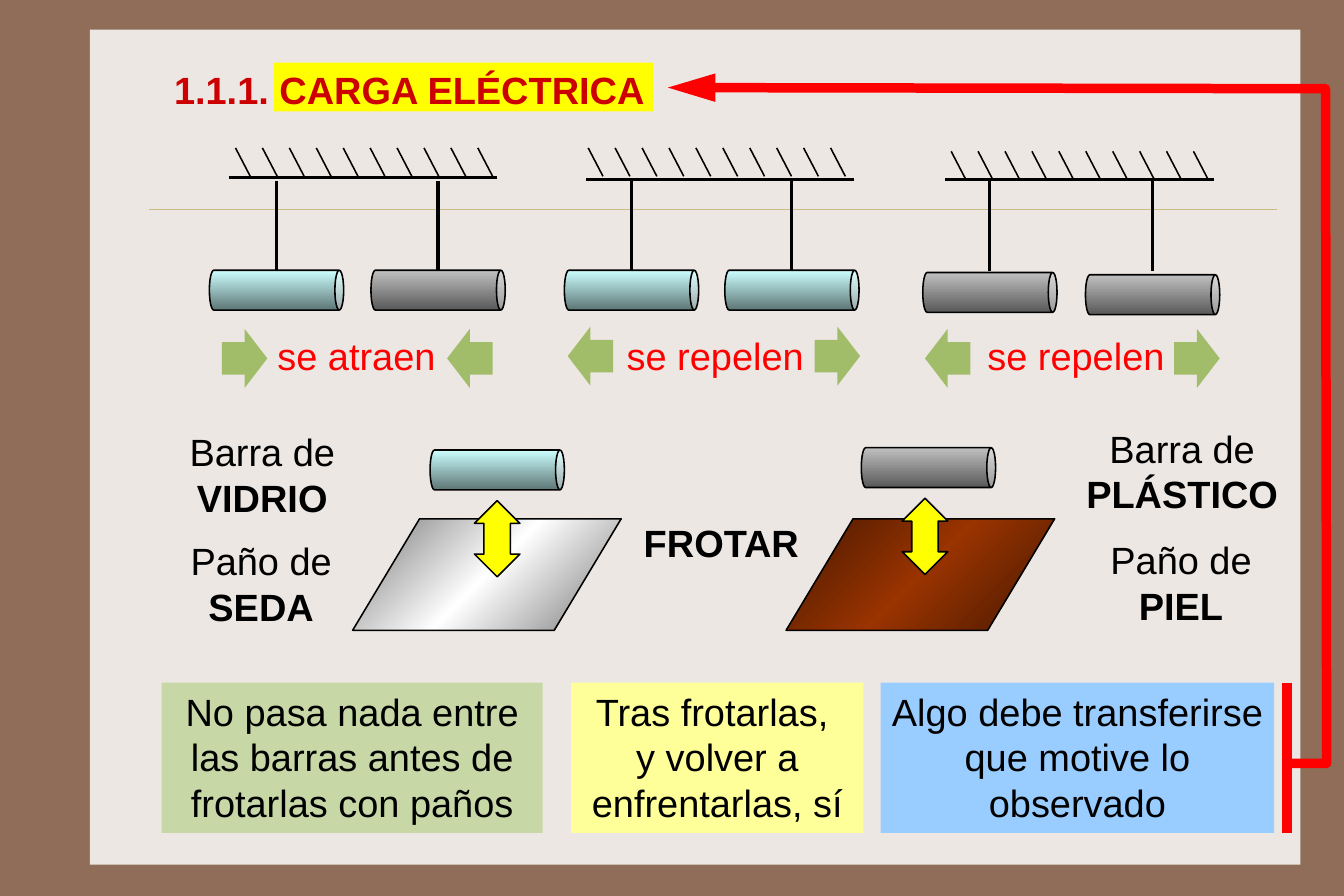
import copy

import pptx
import pptx.dml.color
import pptx.enum.shapes
import pptx.enum.text
import pptx.oxml
import pptx.oxml.ns
import pptx.util

Inches = pptx.util.Inches
Pt = pptx.util.Pt
RGBColor = pptx.dml.color.RGBColor
SHAPE = pptx.enum.shapes.MSO_SHAPE
ALIGN = pptx.enum.text.PP_ALIGN
ANCHOR = pptx.enum.text.MSO_ANCHOR
qn = pptx.oxml.ns.qn

BROWN = RGBColor(0x90, 0x6D, 0x58)
CREAM = RGBColor(0xED, 0xE7, 0xE3)
SAND = RGBColor(0xCB, 0xBD, 0x83)
BLACK = RGBColor(0, 0, 0)
RED = RGBColor(0xFF, 0, 0)
DARK_RED = RGBColor(0xCC, 0, 0)
YELLOW = RGBColor(0xFF, 0xFF, 0)
PALE_YELLOW = RGBColor(0xFF, 0xFF, 0x99)
PALE_GREEN = RGBColor(0xC7, 0xD7, 0xA5)
GREEN = RGBColor(0xA1, 0xBD, 0x69)
SKY = RGBColor(0x99, 0xCC, 0xFF)
GLASS = (RGBColor(0xCC, 0xFF, 0xFF), RGBColor(0x5E, 0x76, 0x76))
PLASTIC = (RGBColor(0xC0, 0xC0, 0xC0), RGBColor(0x59, 0x59, 0x59))
SILVER = RGBColor(0x76, 0x76, 0x76)
WHITE = RGBColor(0xFF, 0xFF, 0xFF)
DARK_LEATHER = RGBColor(0x47, 0x18, 0)
LEATHER = RGBColor(0x99, 0x33, 0)
SILK = (SILVER, WHITE, SILVER)
FUR = (DARK_LEATHER, LEATHER, DARK_LEATHER)

ROD_LENGTH, ROD_WIDTH = 1.18, 0.35
HATCH_COUNT, HATCH_SPAN = 10, 2.13


def add_shape(slide, kind, x, y, w, h, color=None, outline=False, adjustments=()):
    s = slide.shapes.add_shape(kind, Inches(x), Inches(y), Inches(w), Inches(h))
    s.shadow.inherit = False
    if color is not None:
        s.fill.solid()
        s.fill.fore_color.rgb = color
    if outline:
        s.line.color.rgb = BLACK
        s.line.width = Pt(1)
    else:
        s.line.fill.background()
    for i, value in enumerate(adjustments):
        s.adjustments[i] = value
    return s


def fill_gradient(s, colors, angle):
    s.fill.gradient()
    s.fill.gradient_angle = angle
    stop_list = s._element.spPr.find(qn("a:gradFill")).find(qn("a:gsLst"))
    while len(stop_list) < len(colors):
        stop_list.append(copy.deepcopy(stop_list[0]))
    for i, (stop, color) in enumerate(zip(s.fill.gradient_stops, colors)):
        stop.color.rgb = color
        stop.position = i / (len(colors) - 1)


def add_line(slide, x1, y1, x2, y2, color=BLACK, width=1):
    s = slide.shapes.add_connector(
        pptx.enum.shapes.MSO_CONNECTOR.STRAIGHT,
        Inches(x1), Inches(y1), Inches(x2), Inches(y2))
    s.line.color.rgb = color
    s.line.width = Pt(width)
    s._element.spPr.append(pptx.oxml.parse_xml(
        f'<a:effectLst {pptx.oxml.ns.nsdecls("a")}/>'))


def set_text(s, runs, color=BLACK, align=ALIGN.CENTER, wrap=True):
    tf = s.text_frame
    tf.auto_size = pptx.enum.text.MSO_AUTO_SIZE.NONE
    tf.word_wrap = wrap
    tf.vertical_anchor = ANCHOR.TOP
    tf.margin_left = tf.margin_right = Inches(0.1)
    tf.margin_top = tf.margin_bottom = Inches(0.05)
    p = tf.paragraphs[0]
    p.alignment = align
    for text, bold in runs:
        for i, line in enumerate(text.split("\n")):
            if i:
                p.add_line_break()
            r = p.add_run()
            r.text = line
            r.font.name = "Arial"
            r.font.size = Pt(24)
            r.font.bold = bold
            r.font.color.rgb = color


def add_label(slide, x, y, w, h, runs, **style):
    s = slide.shapes.add_textbox(Inches(x), Inches(y), Inches(w), Inches(h))
    set_text(s, runs, **style)
    return s


def add_note(slide, x, w, color, text):
    s = add_shape(slide, SHAPE.RECTANGLE, x, 6, w, 1.32, color)
    set_text(s, [(text, False)])


def add_rod(slide, cx, cy, colors):
    s = add_shape(slide, SHAPE.CAN, cx - ROD_WIDTH / 2, cy - ROD_LENGTH / 2,
                  ROD_WIDTH, ROD_LENGTH, outline=True, adjustments=[0.22])
    fill_gradient(s, colors, 0)
    s.rotation = 90


def add_ceiling(slide, x, y, hatch_x, hatch_y):
    add_line(slide, x, y, x + 2.36, y, width=2)
    for i in range(HATCH_COUNT):
        left = hatch_x + i * HATCH_SPAN / (HATCH_COUNT - 1)
        add_line(slide, left, hatch_y, left + 0.13, hatch_y + 0.25)


def add_force(slide, text, text_x, text_w, y, arrows):
    for x, kind in arrows:
        add_shape(slide, kind, x, y, 0.4, 0.52, GREEN, adjustments=[0.55, 0.5])
    add_label(slide, text_x, 2.87, text_w, 0.43, [(text, False)],
              color=RED, align=ALIGN.LEFT, wrap=False)


def add_cloth(slide, x, colors):
    s = add_shape(slide, SHAPE.PARALLELOGRAM, x, 4.56, 2.36, 0.98,
                  outline=True, adjustments=[0.6])
    fill_gradient(s, colors, 315)


def add_feedback_arrow(slide):
    corners = [(11.33, 6.71), (11.66, 6.71), (11.65, 0.78), (5.87, 0.77)]
    points = [(Inches(x), Inches(y)) for x, y in corners]
    builder = slide.shapes.build_freeform(*points[0])
    builder.add_line_segments(points[1:], close=False)
    s = builder.convert_to_shape()
    s.shadow.inherit = False
    s.fill.background()
    s.line.color.rgb = RED
    s.line.width = Pt(6)
    ln = s._element.spPr.find(qn("a:ln"))
    for tag in ("round", 'tailEnd type="triangle" len="lg"'):
        ln.append(pptx.oxml.parse_xml(f'<a:{tag} {pptx.oxml.ns.nsdecls("a")}/>'))
    add_line(slide, 11.31, 6, 11.31, 7.32, RED, 6)


def main():
    prs = pptx.Presentation()
    prs.slide_width, prs.slide_height = Inches(189 / 16), Inches(63 / 8)
    slide = prs.slides.add_slide(prs.slide_layouts[6])
    slide.background.fill.solid()
    slide.background.fill.fore_color.rgb = BROWN

    add_shape(slide, SHAPE.RECTANGLE, 0.79, 0.26, 10.64, 7.34, CREAM)
    add_line(slide, 1.31, 1.84, 11.22, 1.84, SAND, 0.25)
    add_shape(slide, SHAPE.RECTANGLE, 2.41, 0.55, 3.33, 0.43, YELLOW)
    title = add_label(slide, 1.42, 0.53, 7.42, 0.51,
                      [("1.1.1. CARGA ELÉCTRICA", True)],
                      color=DARK_RED, align=ALIGN.LEFT)
    title.text_frame.vertical_anchor = ANCHOR.MIDDLE
    title.text_frame.margin_left = Inches(0.11)

    for ceiling in [(2.01, 1.56, 2.07, 1.3), (5.15, 1.58, 5.17, 1.3),
                    (8.31, 1.58, 8.36, 1.33)]:
        add_ceiling(slide, *ceiling)
    for x, y, colors in [(2.43, 2.55, GLASS), (3.85, 2.55, PLASTIC),
                         (5.55, 2.55, GLASS), (6.96, 2.55, GLASS),
                         (8.7, 2.57, PLASTIC), (10.13, 2.59, PLASTIC)]:
        add_rod(slide, x, y, colors)
        add_line(slide, x, 1.59, x, 2.38, width=2)

    left, right = SHAPE.LEFT_ARROW, SHAPE.RIGHT_ARROW
    add_force(slide, "se atraen", 2.34, 1.36, 2.89, [(1.95, right), (3.93, left)])
    add_force(slide, "se repelen", 5.41, 1.44, 2.87, [(4.99, left), (7.16, right)])
    add_force(slide, "se repelen", 8.58, 1.44, 2.89, [(8.13, left), (10.32, right)])

    for cloth_x, cloth, rod_x, rod_y, rod, arrow_x, arrow_y in [
            (3.1, SILK, 4.37, 4.13, GLASS, 4.17, 4.4),
            (6.91, FUR, 8.16, 4.11, PLASTIC, 7.93, 4.38)]:
        add_cloth(slide, cloth_x, cloth)
        add_rod(slide, rod_x, rod_y, rod)
        add_shape(slide, SHAPE.UP_DOWN_ARROW, arrow_x, arrow_y, 0.4, 0.67,
                  YELLOW, outline=True, adjustments=[0.5, 0.58])

    for x, y, w, h, kind, material in [
            (1.34, 3.72, 1.93, 0.91, "Barra de ", "VIDRIO"),
            (1.42, 4.68, 1.75, 0.77, "Paño de ", "SEDA"),
            (9.43, 3.69, 1.92, 0.91, "Barra de ", "PLÁSTICO"),
            (9.62, 4.67, 1.52, 0.77, "Paño de ", "PIEL")]:
        add_label(slide, x, y, w, h, [(kind, False), (material, True)])
    add_label(slide, 5.56, 4.52, 1.23, 0.4, [("FROTAR", True)],
              align=ALIGN.LEFT, wrap=False)

    add_note(slide, 1.42, 3.35, PALE_GREEN,
             "No pasa nada entre las barras antes de frotarlas con paños")
    add_note(slide, 5.02, 2.57, PALE_YELLOW,
             "Tras frotarlas, \ny volver a enfrentarlas, sí")
    add_note(slide, 7.74, 3.46, SKY,
             "Algo debe transferirse que motive lo observado")
    add_feedback_arrow(slide)
    prs.save("out.pptx")


if __name__ == "__main__":
    main()
